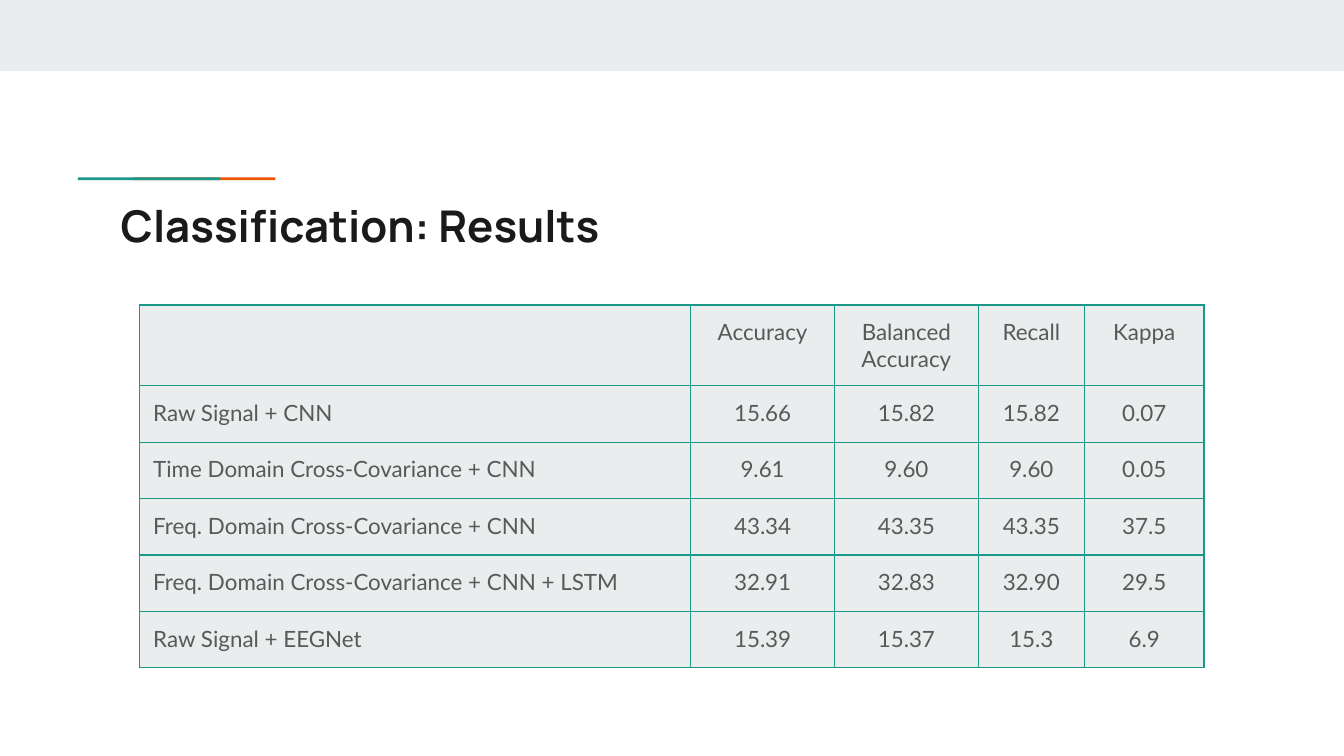
from lxml import etree
from pptx import Presentation
from pptx.dml.color import RGBColor
from pptx.enum.shapes import MSO_SHAPE
from pptx.enum.text import PP_ALIGN
from pptx.oxml.ns import qn
from pptx.util import Inches, Pt

TEAL = RGBColor(0x1A, 0x99, 0x88)
ORANGE = RGBColor(0xEB, 0x56, 0x00)
PALE = RGBColor(0xE9, 0xED, 0xEE)
INK = RGBColor(0x1A, 0x1A, 0x1A)
GREY = RGBColor(0x59, 0x59, 0x59)

INSET = Inches(0.1)
COLUMN_WIDTHS = [4.1, 1.07, 1.07, 0.79, 0.89]
HEADER_HEIGHT, ROW_HEIGHT = 0.6, 0.42
RESULTS = [
    ["", "Accuracy", "Balanced\nAccuracy", "Recall", "Kappa"],
    ["Raw Signal + CNN", "15.66", "15.82", "15.82", "0.07"],
    ["Time Domain Cross-Covariance + CNN", "9.61", "9.60", "9.60", "0.05"],
    ["Freq. Domain Cross-Covariance + CNN", "43.34", "43.35", "43.35", "37.5"],
    ["Freq. Domain Cross-Covariance + CNN + LSTM", "32.91", "32.83", "32.90", "29.5"],
    ["Raw Signal + EEGNet", "15.39", "15.37", "15.3", "6.9"],
]


def add_bar(s, left, top, width, height, color):
    sp = s.shapes.add_shape(MSO_SHAPE.RECTANGLE, Inches(left), Inches(top),
                            Inches(width), Inches(height))
    sp.shadow.inherit = False
    sp.fill.solid()
    sp.fill.fore_color.rgb = color
    sp.line.fill.background()


def add_run(p, text, font, size, color, bold=False):
    r = p.add_run()
    r.text = text
    r.font.name = font
    r.font.size = Pt(size)
    r.font.bold = bold
    r.font.color.rgb = color


def add_title(s, text):
    sp = s.shapes.add_textbox(Inches(0.8), Inches(1.38), Inches(8.41), Inches(0.59))
    tf = sp.text_frame
    tf.word_wrap = True
    tf.margin_left = tf.margin_right = tf.margin_top = tf.margin_bottom = INSET
    add_run(tf.paragraphs[0], text, "Manrope", 23.4, INK, bold=True)


def set_borders(cell, color, width):
    tc_pr = cell._tc.get_or_add_tcPr()
    for i, side in enumerate(("a:lnL", "a:lnR", "a:lnT", "a:lnB")):
        ln = etree.Element(qn(side), w=str(Pt(width)))
        fill = etree.SubElement(ln, qn("a:solidFill"))
        etree.SubElement(fill, qn("a:srgbClr"), val=str(color))
        tc_pr.insert(i, ln)  # borders come before the fill


def fill_cell(cell, text, align):
    cell.margin_left = cell.margin_right = INSET
    cell.margin_top = cell.margin_bottom = INSET
    cell.fill.solid()
    cell.fill.fore_color.rgb = PALE
    set_borders(cell, TEAL, 0.75)
    if not text:
        return
    tf = cell.text_frame
    for i, line in enumerate(text.split("\n")):
        p = tf.add_paragraph() if i else tf.paragraphs[0]
        p.alignment = align
        add_run(p, line, "Lato", 12, GREY)


def add_results_table(s, rows):
    heights = [HEADER_HEIGHT] + [ROW_HEIGHT] * (len(rows) - 1)
    table = s.shapes.add_table(len(rows), len(COLUMN_WIDTHS), Inches(1.04), Inches(2.27),
                               Inches(sum(COLUMN_WIDTHS)), Inches(sum(heights))).table
    table.horz_banding = False
    table.first_row = False
    for column, width in zip(table.columns, COLUMN_WIDTHS):
        column.width = Inches(width)
    for i, (values, height) in enumerate(zip(rows, heights)):
        table.rows[i].height = Inches(height)
        for j, value in enumerate(values):
            fill_cell(table.cell(i, j), value, PP_ALIGN.CENTER if j else PP_ALIGN.LEFT)


def main():
    prs = Presentation()
    prs.slide_width = Inches(10)
    prs.slide_height = prs.slide_width * 9 // 16
    s = prs.slides.add_slide(prs.slide_layouts[6])

    # Top band and two-colour accent line
    add_bar(s, 0, 0, 10, 0.53, PALE)
    add_bar(s, 0.99, 1.32, 1.06, 0.02, ORANGE)
    add_bar(s, 0.58, 1.32, 1.06, 0.02, TEAL)

    # Title and results
    add_title(s, "Classification: Results")
    add_results_table(s, RESULTS)

    prs.save("out.pptx")


if __name__ == "__main__":
    main()
